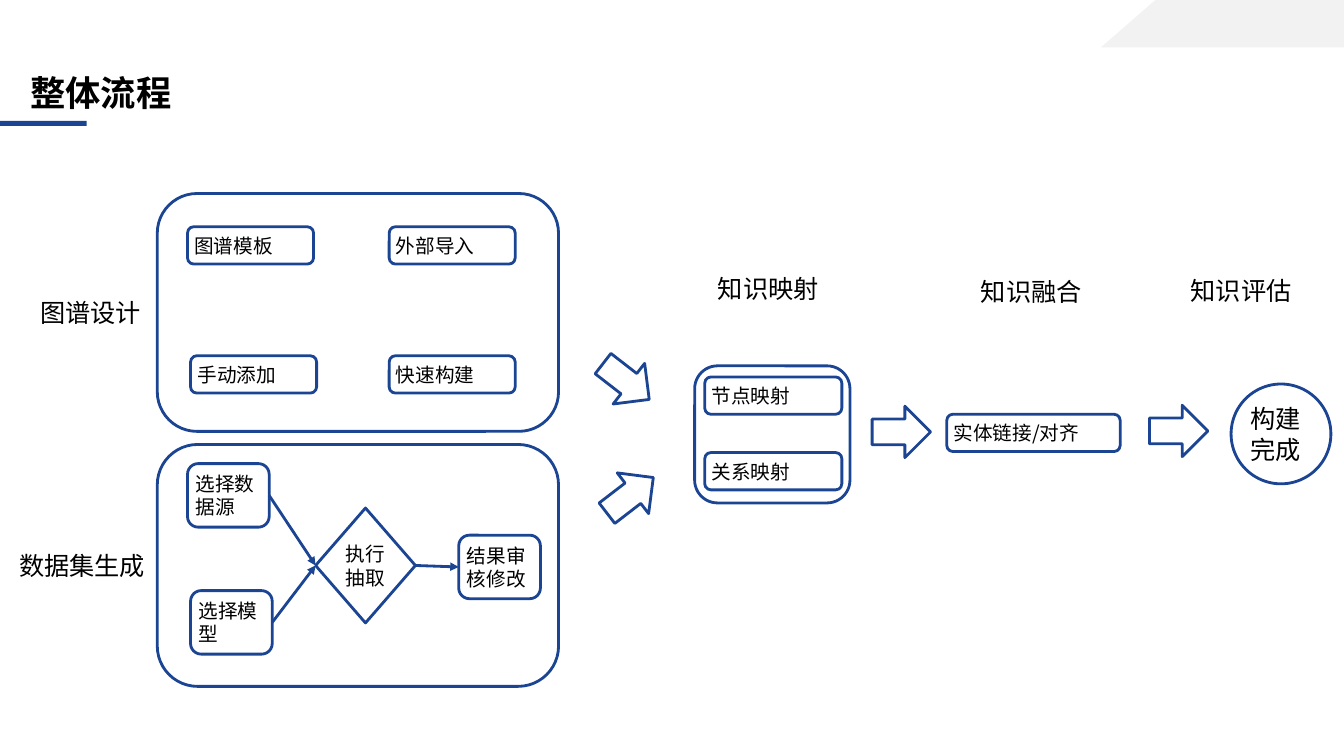
import pptx
import pptx.util
import pptx.dml.color
import pptx.enum.shapes
import pptx.enum.text
import pptx.oxml.ns
from lxml import etree

Inches = pptx.util.Inches
Kind = pptx.enum.shapes.MSO_SHAPE
Anchor = pptx.enum.text.MSO_ANCHOR
qn = pptx.oxml.ns.qn
FONT = "Noto Sans CJK SC"
BLUE, WHITE, GREY, BLACK = "1B4593", "FFFFFF", "F2F2F2", "000000"


def paint(shape, fill, line=None):
    shape.shadow.inherit = False
    shape.fill.solid()
    shape.fill.fore_color.rgb = pptx.dml.color.RGBColor.from_string(fill)
    if line:
        shape.line.color.rgb = pptx.dml.color.RGBColor.from_string(line)
        shape.line.width = pptx.util.Pt(2)
    else:
        shape.line.fill.background()


def write(shape, text, size, anchor, bold=False):
    frame = shape.text_frame
    layout = {"word_wrap": True, "vertical_anchor": anchor}
    layout.update({f"margin_{side}": Inches(0.05) for side in ("left", "top", "right", "bottom")})
    for name, value in layout.items():
        setattr(frame, name, value)
    para = frame.paragraphs[0]
    para.alignment = pptx.enum.text.PP_ALIGN.LEFT
    span = para.add_run()
    span.text = text
    for name, value in {"size": pptx.util.Pt(size), "name": FONT, "bold": bold}.items():
        setattr(span.font, name, value)
    span.font.color.rgb = pptx.dml.color.RGBColor.from_string(BLACK)
    etree.SubElement(span.font._element, qn("a:ea"), typeface=FONT)
    return para


deck = pptx.Presentation()
deck.slide_width, deck.slide_height = Inches(13.33), Inches(7.5)
page = deck.slides.add_slide(deck.slide_layouts[6])
shapes = page.shapes

title_bar = shapes.add_shape(Kind.RECTANGLE, Inches(0), Inches(1.2), Inches(0.86), Inches(0.05))
paint(title_bar, BLUE)

outline = shapes.build_freeform(Inches(11.46), Inches(0))
outline.add_line_segments(
    [(Inches(x), Inches(y)) for x, y in [(13.33, 0), (13.33, 0.47), (10.92, 0.47)]], close=True
)
paint(outline.convert_to_shape(), GREY)

title = shapes.add_textbox(Inches(0.25), Inches(0.6), Inches(12.54), Inches(0.58))
write(title, "整体流程", 25.2, Anchor.BOTTOM, bold=True).line_spacing = 1.1

groups = [(6.89, 3.63, 1.54, 1.36), (1.56, 1.92, 3.98, 2.36), (1.56, 4.41, 3.98, 2.4)]
for place in groups:
    paint(shapes.add_shape(Kind.ROUNDED_RECTANGLE, *map(Inches, place)), WHITE, BLUE)

steps = [
    ("图谱模板", Kind.ROUNDED_RECTANGLE, 14, (1.86, 2.25, 1.25, 0.37)),
    ("外部导入", Kind.ROUNDED_RECTANGLE, 14, (3.86, 2.25, 1.25, 0.37)),
    ("手动添加", Kind.ROUNDED_RECTANGLE, 14, (1.89, 3.53, 1.25, 0.37)),
    ("快速构建", Kind.ROUNDED_RECTANGLE, 14, (3.86, 3.53, 1.25, 0.37)),
    ("选择数据源", Kind.ROUNDED_RECTANGLE, 14, (1.86, 4.6, 0.81, 0.63)),
    ("选择模型", Kind.ROUNDED_RECTANGLE, 14, (1.89, 5.86, 0.81, 0.63)),
    ("执行抽取", Kind.DIAMOND, 14, (3.13, 5.04, 0.99, 1.14)),
    ("结果审核修改", Kind.ROUNDED_RECTANGLE, 14, (4.55, 5.31, 0.81, 0.63)),
    ("节点映射", Kind.ROUNDED_RECTANGLE, 14, (6.99, 3.74, 1.36, 0.37)),
    ("关系映射", Kind.ROUNDED_RECTANGLE, 14, (6.99, 4.49, 1.36, 0.37)),
    ("实体链接/对齐", Kind.ROUNDED_RECTANGLE, 14, (9.39, 4.11, 1.72, 0.37)),
    ("构建完成", Kind.OVAL, 18, (12.21, 3.81, 0.99, 0.99)),
]
boxes = {}
for text, kind, size, place in steps:
    box = shapes.add_shape(kind, *map(Inches, place))
    paint(box, WHITE, BLUE)
    write(box, text, size, Anchor.MIDDLE)
    boxes[text] = box

links = [("选择数据源", "执行抽取"), ("选择模型", "执行抽取"), ("执行抽取", "结果审核修改")]
for source, target in links:
    link = shapes.add_connector(pptx.enum.shapes.MSO_CONNECTOR.STRAIGHT, 0, 0, 0, 0)
    link.begin_connect(boxes[source], 3)
    link.end_connect(boxes[target], 1)
    link.line.color.rgb = pptx.dml.color.RGBColor.from_string(BLUE)
    link.line.width = pptx.util.Pt(2)
    etree.SubElement(link.line._get_or_add_ln(), qn("a:tailEnd"), type="triangle")
    etree.SubElement(link._element.spPr, qn("a:effectLst"))

labels = [
    ("图谱设计", 0.35, 2.9, 1.14),
    ("数据集生成", 0.14, 5.41, 1.38),
    ("知识映射", 7.07, 2.66, 1.14),
    ("知识融合", 9.68, 2.69, 1.14),
    ("知识评估", 11.76, 2.68, 1.44),
]
for text, left, top, width in labels:
    label = shapes.add_textbox(Inches(left), Inches(top), Inches(width), Inches(0.4))
    write(label, text, 18, Anchor.TOP)

for left, top, angle in [(5.92, 3.53, 37.8), (5.96, 4.66, 322.4), (8.65, 4.03, 0), (11.4, 4.02, 0)]:
    arrow = shapes.add_shape(Kind.RIGHT_ARROW, Inches(left), Inches(top), Inches(0.58), Inches(0.51))
    arrow.rotation = angle
    paint(arrow, WHITE, BLUE)

deck.save("out.pptx")
